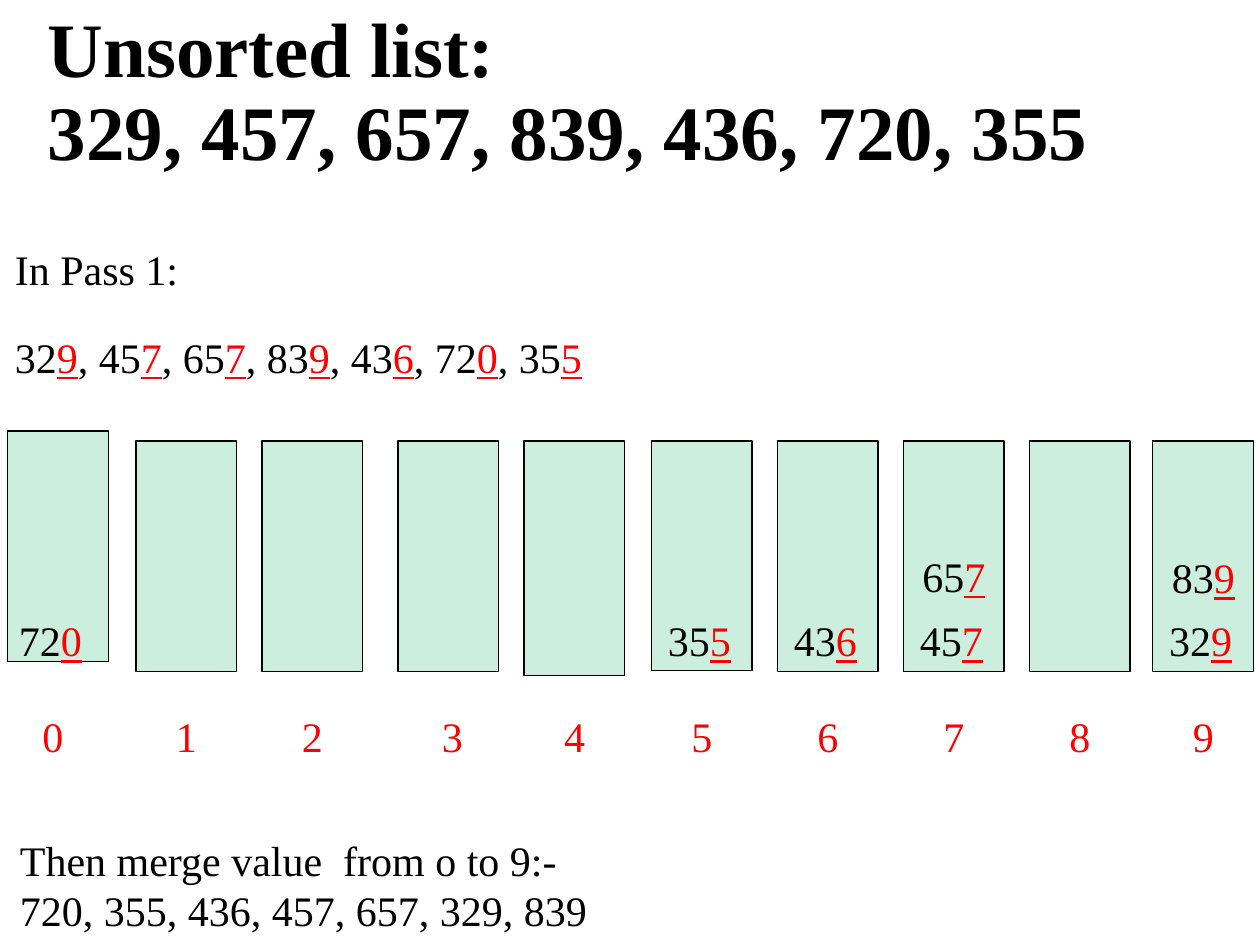
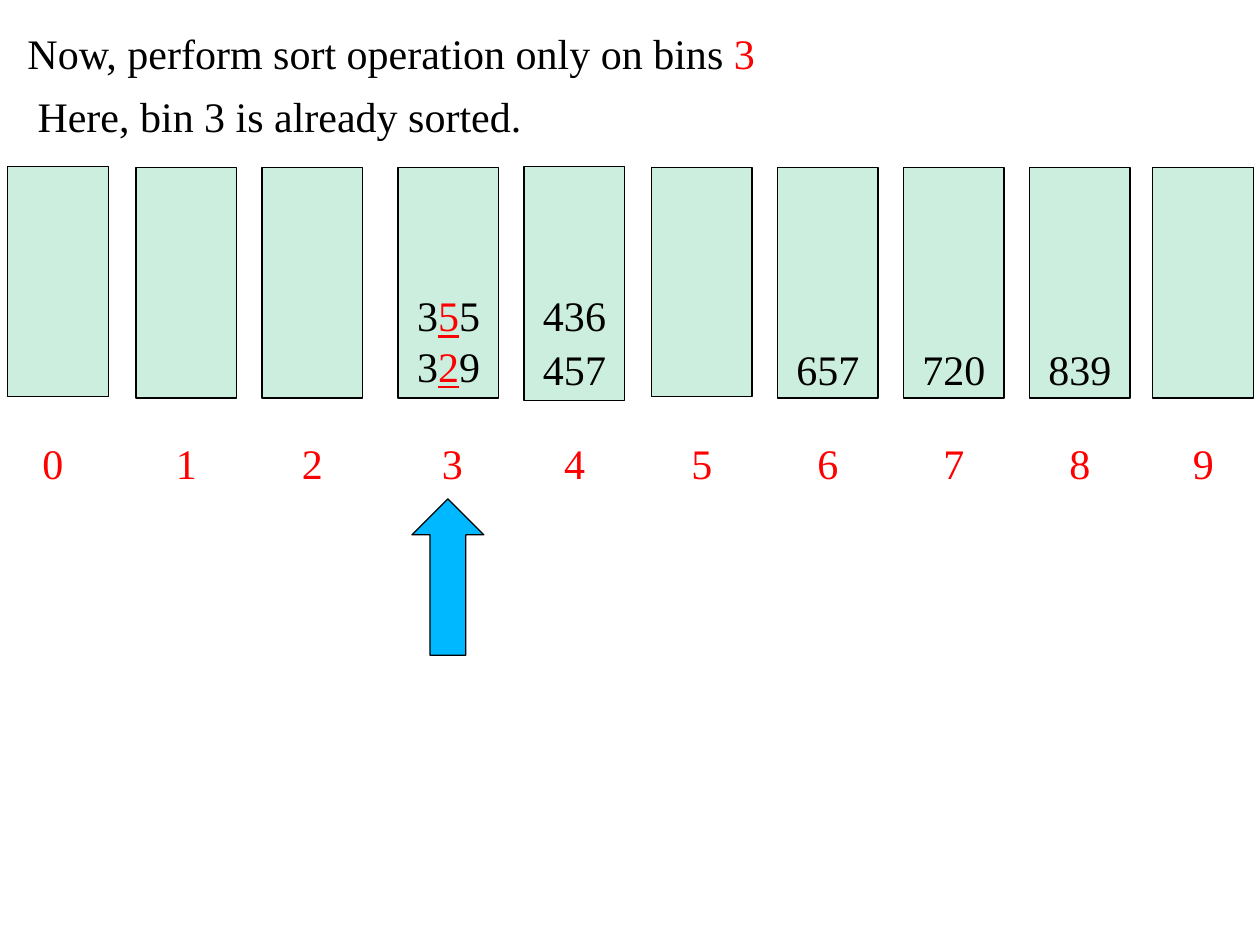
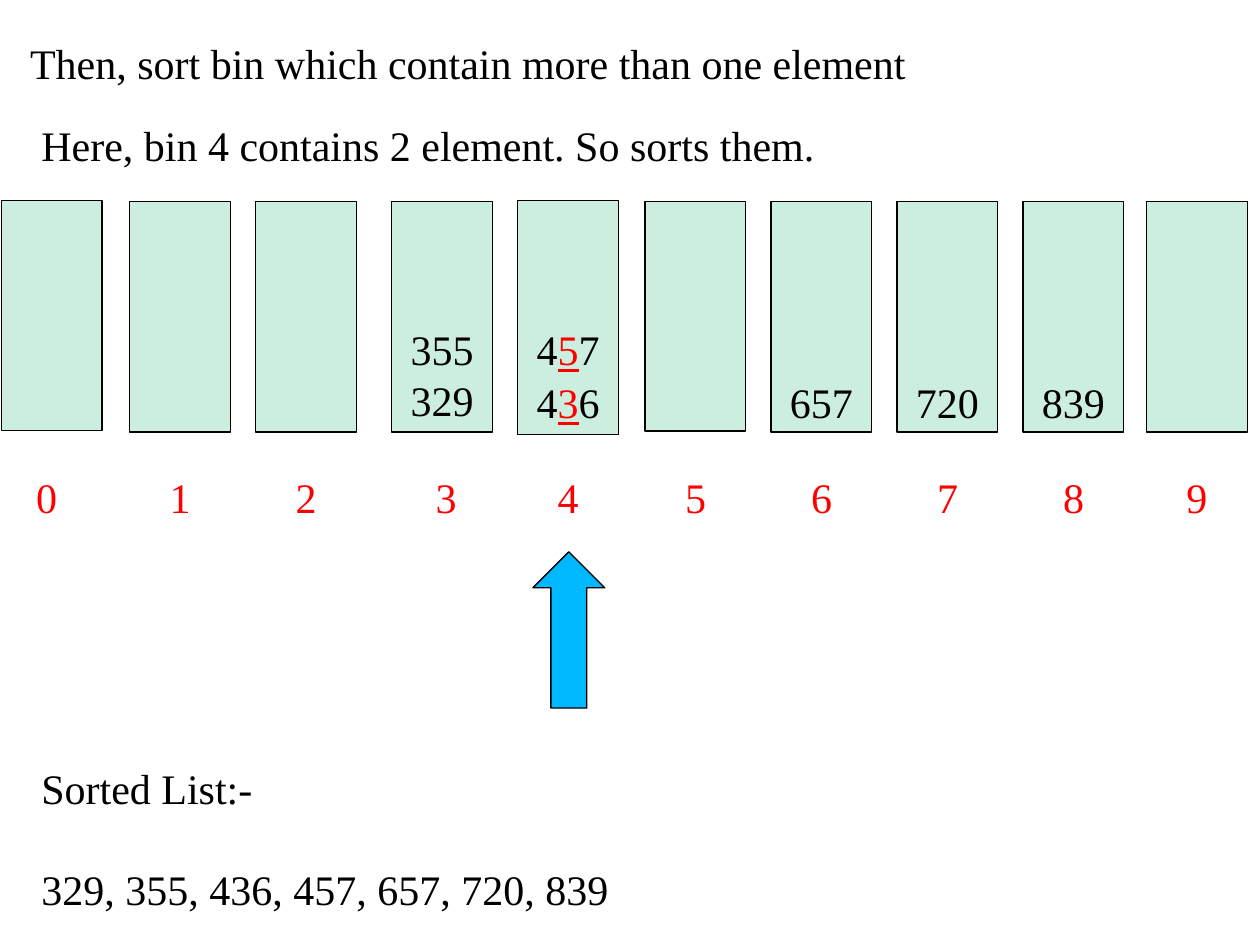
from pptx import Presentation
from pptx.dml.color import RGBColor
from pptx.enum.shapes import MSO_SHAPE
from pptx.enum.text import MSO_ANCHOR, MSO_AUTO_SIZE, PP_ALIGN
from pptx.util import Inches, Pt

RECTANGLE = MSO_SHAPE.RECTANGLE
UP_ARROW = MSO_SHAPE.UP_ARROW
MIDDLE = MSO_ANCHOR.MIDDLE
TOP = MSO_ANCHOR.TOP
GROW = MSO_AUTO_SIZE.SHAPE_TO_FIT_TEXT
NO_GROW = MSO_AUTO_SIZE.NONE
LEFT = PP_ALIGN.LEFT
CENTER = PP_ALIGN.CENTER

BLACK = RGBColor(0x00, 0x00, 0x00)
RED = RGBColor(0xFF, 0x00, 0x00)
MINT = RGBColor(0xCC, 0xEE, 0xDF)
BLUE = RGBColor(0x00, 0xB8, 0xFF)

FONT = "Times New Roman"
MARK = "_"
TEXT_HEIGHT = 0.51
BIN_WIDTH = 0.8
BIN_HEIGHT = 1.83
BIN_HEIGHTS = {4: 1.86, 5: 1.82}
BIN_LEFTS = (0, 1.02, 2.02, 3.1, 4.1, 5.11, 6.11, 7.11, 8.11, 9.09)
DIGIT_SHIFTS = {0: -0.04, 3: 0.03}
DIGIT_DROP = 2.09


def add_text(slide, text, box, size=24, color=BLACK, bold=False, align=LEFT,
             underline=True, anchor=TOP, grow=True, line_spacing=None,
             space_before=0, bottom_inset=0.05):
    shape = slide.shapes.add_textbox(*(Inches(length) for length in box))
    frame = shape.text_frame
    frame.word_wrap = True
    frame.auto_size = GROW if grow else NO_GROW
    frame.vertical_anchor = anchor
    frame.margin_bottom = Inches(bottom_inset)
    for index, line in enumerate(text.split("\n")):
        paragraph = frame.add_paragraph() if index else frame.paragraphs[0]
        paragraph.alignment = align
        paragraph.line_spacing = line_spacing
        paragraph.space_before = Pt(space_before if index else 0)
        for position, part in enumerate(line.split(MARK)):
            if not part:
                continue
            marked = position % 2 == 1
            run = paragraph.add_run()
            run.text = part
            run.font.name = FONT
            run.font.size = Pt(size)
            run.font.bold = bold
            run.font.underline = marked and underline
            run.font.color.rgb = RED if marked else color


def add_outlined_shape(slide, kind, box, fill):
    shape = slide.shapes.add_shape(kind, *(Inches(length) for length in box))
    shape.shadow.inherit = False
    shape.fill.solid()
    shape.fill.fore_color.rgb = fill
    shape.line.color.rgb = BLACK
    shape.line.width = Pt(0.75)


def add_bins(slide, left, top, raised, values):
    for digit, offset in enumerate(BIN_LEFTS):
        height = BIN_HEIGHTS.get(digit, BIN_HEIGHT)
        bin_top = top - raised.get(digit, 0)
        add_outlined_shape(slide, RECTANGLE,
                           (left + offset, bin_top, BIN_WIDTH, height), MINT)
        digit_left = left + offset + DIGIT_SHIFTS.get(digit, 0)
        add_text(slide, str(digit),
                 (digit_left, top + DIGIT_DROP, BIN_WIDTH, TEXT_HEIGHT),
                 color=RED, align=CENTER)
    for digit, value, shift, drop in values:
        value_left = left + BIN_LEFTS[digit] + shift
        add_text(slide, value,
                 (value_left, top + drop, BIN_WIDTH, TEXT_HEIGHT), align=CENTER)


def add_pointer(slide, left, top):
    add_outlined_shape(slide, UP_ARROW, (left, top, 0.57, 1.24), BLUE)


def build_first_pass(slide):
    add_text(slide, "Unsorted list:\n329, 457, 657, 839, 436, 720, 355",
             (0.28, 0.35, 8.88, 1.52), size=44, bold=True, anchor=MIDDLE,
             grow=False, line_spacing=0.9, bottom_inset=0.77)
    add_text(slide, "In Pass 1:", (0.02, 1.88, 5.33, TEXT_HEIGHT))
    add_text(slide, "32_9_, 45_7_, 65_7_, 83_9_, 43_6_, 72_0_, 35_5_",
             (0.02, 2.58, 6.73, TEXT_HEIGHT))
    add_bins(slide, 0.06, 3.5, {0: 0.08}, (
        (0, "72_0_", -0.06, 1.33),
        (5, "35_5_", -0.02, 1.33),
        (6, "43_6_", -0.02, 1.33),
        (7, "45_7_", -0.02, 1.33),
        (9, "32_9_", -0.02, 1.33),
        (7, "65_7_", 0, 0.82),
        (9, "83_9_", 0, 0.83),
    ))
    add_text(slide, "Then merge value  from o to 9:-\n"
             "720, 355, 436, 457, 657, 329, 839", (0.06, 6.57, 6.94, 0.91))


def build_bin_three(slide):
    add_text(slide, "Now, perform sort operation only on bins _3_",
             (0.12, 0.17, 6.94, TEXT_HEIGHT), underline=False)
    add_text(slide, "Here, bin 3 is already sorted.",
             (0.2, 0.67, 6.94, TEXT_HEIGHT))
    add_bins(slide, 0.06, 1.33, {0: 0.01, 4: 0.01}, (
        (3, "3_2_9", 0, 1.32),
        (3, "3_5_5", 0, 0.92),
        (4, "457", 0, 1.35),
        (4, "436", 0, 0.92),
        (6, "657", 0, 1.35),
        (7, "720", 0, 1.35),
        (8, "839", 0, 1.35),
    ))
    add_pointer(slide, 3.27, 3.96)


def build_bin_four(slide):
    add_text(slide, "Then, sort bin which contain more than one element",
             (0.14, 0.25, 7.61, TEXT_HEIGHT))
    add_text(slide, "Here, bin 4 contains 2 element. So sorts them.",
             (0.23, 0.9, 7.61, TEXT_HEIGHT))
    add_bins(slide, 0.01, 1.6, {0: 0.01, 4: 0.01}, (
        (3, "329", 0, 1.32),
        (3, "355", 0, 0.92),
        (4, "4_3_6", 0, 1.34),
        (4, "4_5_7", 0, 0.92),
        (6, "657", 0, 1.34),
        (7, "720", 0, 1.34),
        (8, "839", 0, 1.34),
    ))
    add_pointer(slide, 4.23, 4.38)
    add_text(slide, "Sorted List:-\n329, 355, 436, 457, 657, 720, 839",
             (0.23, 6, 6.94, 1.31), space_before=29)


presentation = Presentation()
presentation.slide_width = Inches(10)
presentation.slide_height = Inches(7.5)
blank_layout = presentation.slide_layouts[6]
for build in (build_first_pass, build_bin_three, build_bin_four):
    build(presentation.slides.add_slide(blank_layout))
presentation.save("out.pptx")
